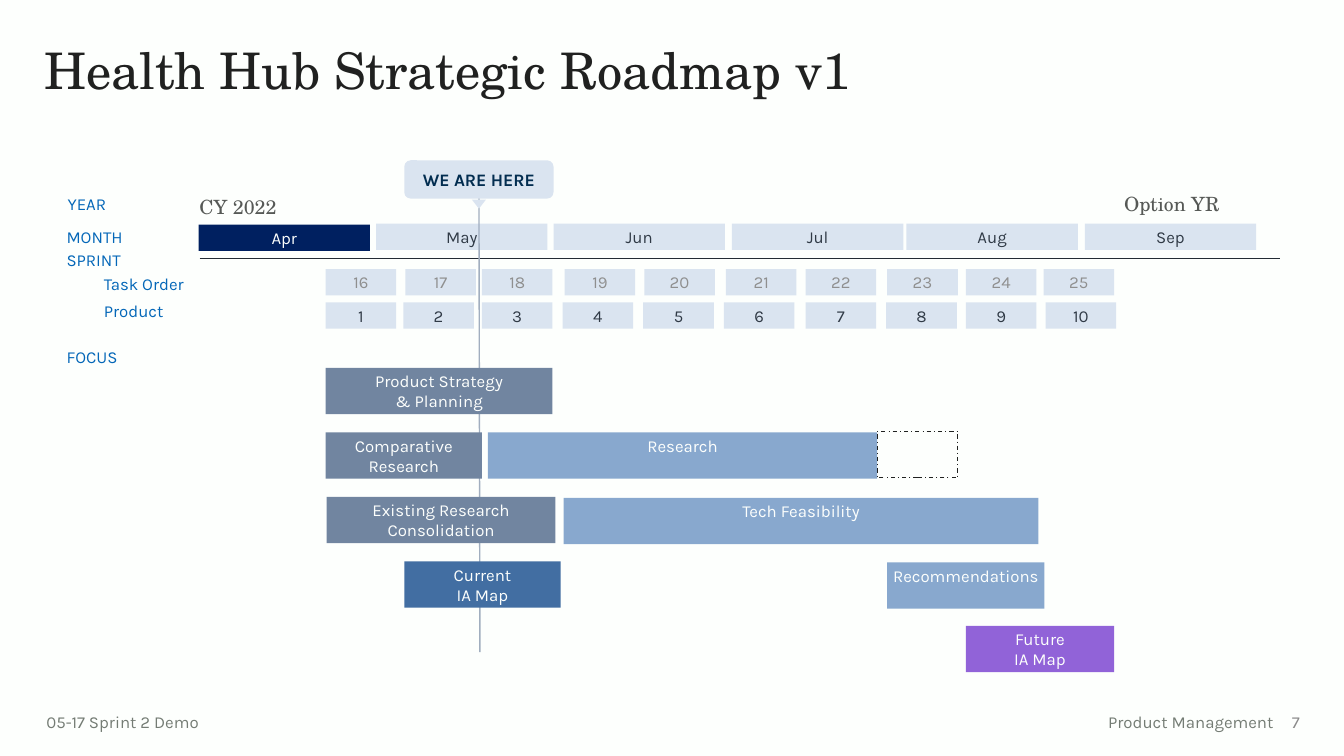
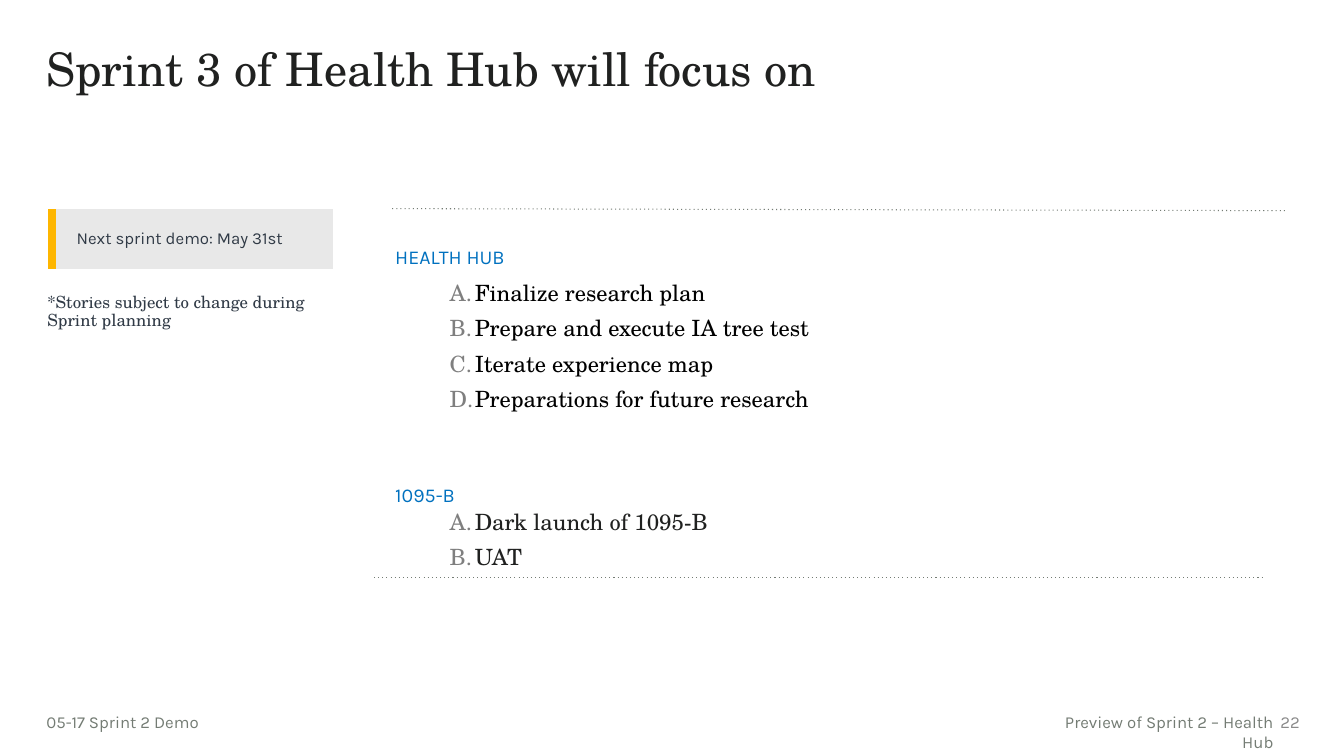
import pptx
import pptx.util
import pptx.dml.color
import pptx.enum.dml
import pptx.enum.shapes
import pptx.enum.text
import pptx.oxml.ns
from lxml import etree

Inches = pptx.util.Inches
Pt = pptx.util.Pt
qn = pptx.oxml.ns.qn
colour = pptx.dml.color.RGBColor.from_string
SHAPE = pptx.enum.shapes.MSO_SHAPE
ALIGN = pptx.enum.text.PP_ALIGN
ANCHOR = pptx.enum.text.MSO_ANCHOR

SANS = "Karla"
SERIF = "TeX Gyre Schola"
INK = "202120"
SLATE = "303A46"
GREY = "747C74"
WHITE = "FDFFFD"
PALE = "DAE4F0"
BLUE = "88A8CE"
STEEL = "7185A0"
LABEL = "0467B8"
PADDED = (0.1, 0.05, 0.1, 0.05)
TIGHT = (0.03, 0.03, 0.03, 0.03)
FLUSH = (0, 0, 0, 0)


def write(frame, lines, color, size=12, font=SANS, align=ALIGN.LEFT, bold=False,
          spacing=None, lettered=False):
    for index, line in enumerate(lines):
        para = frame.paragraphs[0] if index == 0 else frame.add_paragraph()
        para.alignment = align
        if spacing:
            para.line_spacing = spacing
        if lettered:
            if index:
                para.space_before = Pt(6)
            props = para._p.get_or_add_pPr()
            props.set("marL", str(Inches(0.25)))
            props.set("indent", str(-Inches(0.25)))
            marker = etree.SubElement(props, qn("a:buClr"))
            etree.SubElement(marker, qn("a:srgbClr")).set("val", "7F7F7F")
            etree.SubElement(props, qn("a:buAutoNum")).set("type", "alphaUcPeriod")
        span = para.add_run()
        span.text = line
        span.font.name = font
        span.font.size = Pt(size)
        span.font.bold = bold
        span.font.color.rgb = colour(color)


def add_box(page, at, lines=(), color=SLATE, fill=None, kind=None, insets=PADDED,
            anchor=ANCHOR.TOP, **style):
    place = [Inches(value) for value in at]
    if kind is None:
        box = page.shapes.add_textbox(*place)
    else:
        box = page.shapes.add_shape(kind, *place)
        box.shadow.inherit = False
        box.line.fill.background()
        if fill:
            box.fill.solid()
            box.fill.fore_color.rgb = colour(fill)
        else:
            box.fill.background()
    frame = box.text_frame
    frame.word_wrap = True
    frame.vertical_anchor = anchor
    frame.margin_left, frame.margin_top, frame.margin_right, frame.margin_bottom = [
        Inches(value) for value in insets]
    write(frame, lines, color, **style)
    return box


deck = pptx.Presentation()
deck.slide_width = Inches(13.33)
deck.slide_height = Inches(7.5)

pages = []
for title, at, size, backdrop, section, section_left, number in [
    ("Health Hub Strategic Roadmap v1", (0.34, 0.41, 12.42, 0.82), 36, WHITE,
     "Product Management", 9.75, "7"),
    ("Sprint 3 of Health Hub will focus on", (0.36, 0.41, 10.85, 1.19), 33, "FFFFFF",
     "Preview of Sprint 2 – Health Hub", 10.2, "22"),
]:
    page = deck.slides.add_slide(deck.slide_layouts[5])
    pages.append(page)
    page.background.fill.solid()
    page.background.fill.fore_color.rgb = colour(backdrop)
    heading = page.shapes.title
    heading.left, heading.top, heading.width, heading.height = [Inches(value) for value in at]
    heading.text_frame.auto_size = pptx.enum.text.MSO_AUTO_SIZE.NONE
    heading.text_frame.vertical_anchor = ANCHOR.TOP
    write(heading.text_frame, [title], INK, size, SERIF, spacing=0.9)
    add_box(page, (0.46, 7.01, 2.98, 0.3), ["05-17 Sprint 2 Demo"], GREY,
            insets=(0, 0.05, 0.1, 0.05))
    add_box(page, (section_left, 7.01, 12.73 - section_left, 0.3), [section], GREY,
            align=ALIGN.RIGHT)
    add_box(page, (12.55, 6.96, 0.44, 0.4), [number], "8A8A8A", anchor=ANCHOR.MIDDLE,
            align=ALIGN.RIGHT)
roadmap, focus = pages

for label, left, top in [
    ("YEAR", 0.67, 1.92), ("MONTH", 0.66, 2.25), ("SPRINT", 0.66, 2.48),
    ("Task Order", 1.03, 2.72), ("Product", 1.03, 2.98), ("FOCUS", 0.66, 3.44),
]:
    add_box(roadmap, (left, top, 1.02, 0.2), [label], LABEL, insets=FLUSH)

for label, left, top, width in [("CY 2022", 1.88, 1.88, 3), ("Option YR", 11.05, 1.86, 2)]:
    add_box(roadmap, (left, top, width, 0.34), [label], "565956", size=14, font=SERIF)

months = ["Apr", "May", "Jun", "Jul", "Aug", "Sep"]
for month, left in zip(months, [1.97, 3.73, 5.49, 7.26, 8.99, 10.76]):
    past = month == "Apr"
    add_box(roadmap, (left, 2.23 if past else 2.22, 1.7, 0.26), [month],
            WHITE if past else SLATE, "002060" if past else PALE, SHAPE.RECTANGLE, TIGHT,
            align=ALIGN.CENTER)

for first, top, color, lefts in [
    (16, 2.67, "8F8F8F", [3.23, 4.02, 4.78, 5.6, 6.39, 7.2, 7.99, 8.8, 9.58, 10.35]),
    (1, 3, SLATE, [3.23, 4, 4.78, 5.58, 6.38, 7.18, 7.99, 8.79, 9.58, 10.37]),
]:
    for sprint, left in enumerate(lefts, first):
        add_box(roadmap, (left, top, 0.7, 0.26), [str(sprint)], color, PALE,
                SHAPE.RECTANGLE, TIGHT, align=ALIGN.CENTER)

for page, ends, color, width, dash in [
    (roadmap, (1.98, 2.56, 12.7, 2.56), "232B34", 0.75, "solid"),
    (roadmap, (4.75, 1.79, 4.76, 6.47), "A1AEBF", 1, "solid"),
    (focus, (3.89, 2.07, 12.76, 2.09), GREY, 0.75, "dot"),
    (focus, (3.71, 5.73, 12.55, 5.73), GREY, 0.75, "dot"),
]:
    rule = page.shapes.add_connector(pptx.enum.shapes.MSO_CONNECTOR.STRAIGHT,
                                     *[Inches(value) for value in ends])
    rule.line.color.rgb = colour(color)
    rule.line.width = Pt(width)
    outline = rule._element.spPr
    etree.SubElement(outline.find(qn("a:ln")), qn("a:prstDash")).set("val", dash)
    etree.SubElement(outline, qn("a:effectLst"))

add_box(roadmap, (4.01, 1.59, 1.48, 0.38), ["WE ARE HERE"], "022D50", PALE,
        SHAPE.ROUNDED_RECTANGLE, anchor=ANCHOR.MIDDLE, size=12.5, bold=True,
        align=ALIGN.CENTER)
pointer = add_box(roadmap, (4.68, 1.98, 0.14, 0.09), fill=PALE, kind=SHAPE.ISOSCELES_TRIANGLE)
pointer.rotation = 180

for lines, left, top, width, fill in [
    (["Product Strategy", "& Planning"], 3.23, 3.65, 2.25, STEEL),
    (["Comparative", "Research"], 3.23, 4.29, 1.55, STEEL),
    (["Research"], 4.84, 4.29, 3.86, BLUE),
    (["Existing Research Consolidation"], 3.24, 4.93, 2.27, STEEL),
    (["Tech Feasibility"], 5.59, 4.94, 4.71, BLUE),
    (["Current", "IA Map"], 4.01, 5.57, 1.55, "426EA2"),
    (["Recommendations"], 8.8, 5.58, 1.56, BLUE),
    (["Future", "IA Map"], 9.58, 6.21, 1.47, "9163D8"),
]:
    add_box(roadmap, (left, top, width, 0.46), lines, WHITE, fill, SHAPE.RECTANGLE, TIGHT,
            align=ALIGN.CENTER)

extension = add_box(roadmap, (8.7, 4.28, 0.8, 0.46), kind=SHAPE.RECTANGLE)
extension.line.color.rgb = colour(INK)
extension.line.width = Pt(0.75)
extension.line.dash_style = pptx.enum.dml.MSO_LINE.DASH_DOT

notice = focus.shapes.add_table(1, 2, Inches(0.48), Inches(2.07), Inches(2.82), Inches(0.6)).table
notice.first_row = False
notice.horz_banding = False
notice._tbl.tblPr.find(qn("a:tableStyleId")).text = "{2D5ABB26-0587-4C30-8999-92F81FD0307C}"
for index, (width, fill, inset) in enumerate([(0.08, "FEB600", 0), (2.74, "E8E8E8", 0.2)]):
    notice.columns[index].width = Inches(width)
    cell = notice.cell(0, index)
    cell.fill.solid()
    cell.fill.fore_color.rgb = colour(fill)
    cell.vertical_anchor = ANCHOR.MIDDLE
    cell.margin_left = cell.margin_right = Inches(inset)
    cell.margin_top = cell.margin_bottom = Inches(inset)
write(notice.cell(0, 1).text_frame, ["Next sprint demo: May 31st"], SLATE)

add_box(focus, (0.26, 2.87, 3.05, 0.6), ["*Stories subject to change during Sprint planning"],
        insets=(0.21, 0.05, 0.1, 0.05), font=SERIF, spacing=0.9)

for heading, heading_top, stories, top, height, color in [
    ("HEALTH HUB", 2.38,
     ["Finalize research plan", "Prepare and execute IA tree test",
      "Iterate experience map", "Preparations for future research"], 2.77, 1.33, "000000"),
    ("1095-B", 4.74, ["Dark launch of 1095-B", "UAT"], 5.04, 0.62, INK),
]:
    add_box(focus, (3.92, heading_top, 5.28, 0.4), [heading], "0071BF",
            insets=(0, 0.05, 0, 0.05), size=14)
    add_box(focus, (4.46, top, 6.8, height), stories, color, insets=FLUSH, size=16,
            font=SERIF, lettered=True)

deck.save("out.pptx")
